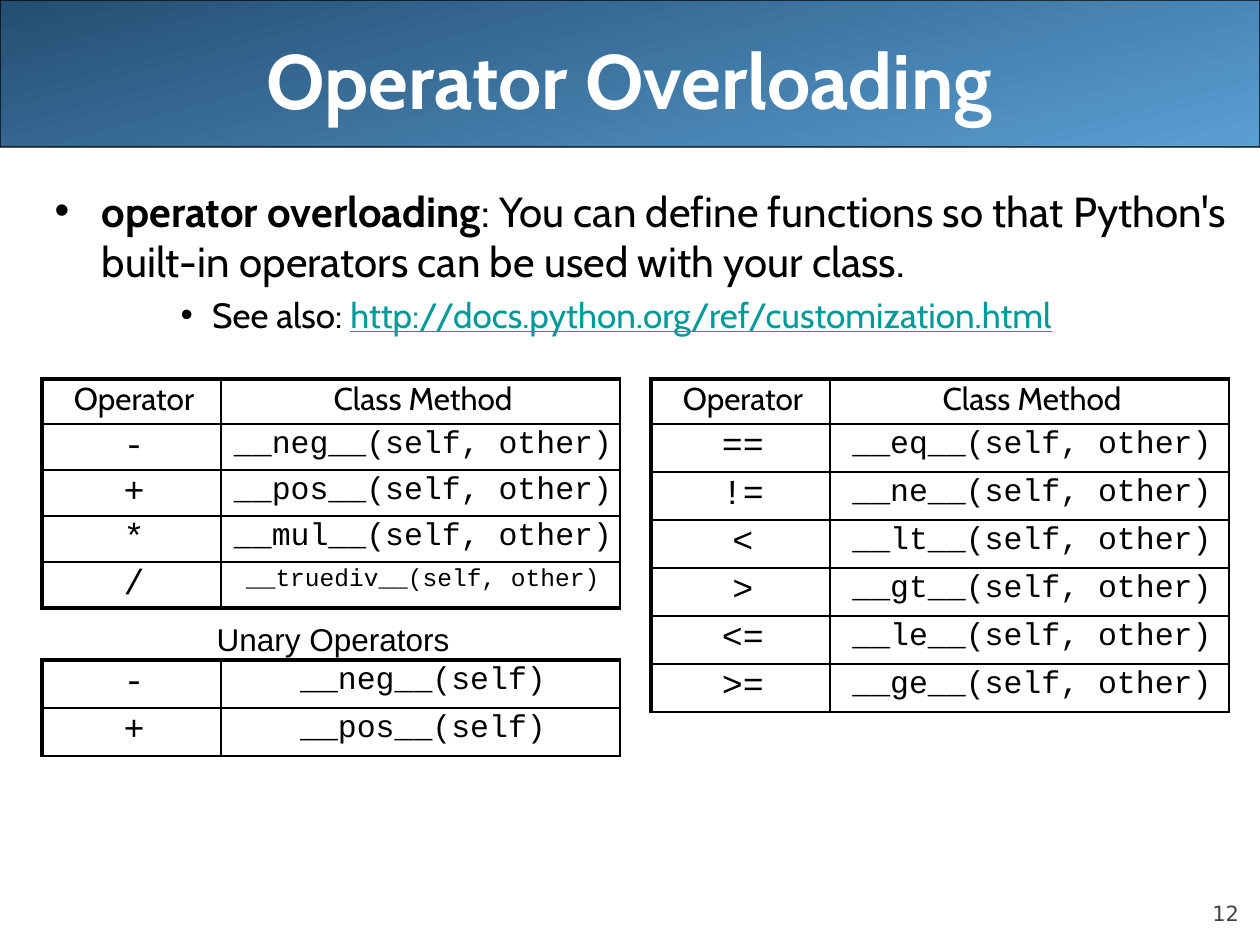
from lxml.etree import SubElement
from pptx import Presentation
from pptx.dml.color import RGBColor
from pptx.enum.shapes import MSO_SHAPE as Shape
from pptx.enum.text import MSO_ANCHOR as Anchor, MSO_AUTO_SIZE as AutoSize, PP_ALIGN as Align
from pptx.oxml.ns import qn
from pptx.util import Emu, Pt

SCALE = 914400 / 126
BLACK, WHITE = "000000", "FFFFFF"
THIN, THICK = 1, 2.25
COLUMNS = (179, 399)
HEADER = ("Operator", "Class Method")
BINARY = [("-", "__neg__(self, other)"), ("+", "__pos__(self, other)"),
          ("*", "__mul__(self, other)"), ("/", "__truediv__(self, other)")]
UNARY = [("-", "__neg__(self)"), ("+", "__pos__(self)")]
COMPARISON = [(symbol, f"__{name}__(self, other)") for symbol, name in
              zip(("==", "!=", "<", ">", "<=", ">="), ("eq", "ne", "lt", "gt", "le", "ge"))]


def px(length):
    return Emu(round(length * SCALE))


def color(value):
    return RGBColor.from_string(value)


def set_all(target, **values):
    for name, value in values.items():
        setattr(target, name, value)


def place(shape, box):
    set_all(shape, **dict(zip(("left", "top", "width", "height"), map(px, box))))


def add_span(para, text, size, font="Cabin", shade=BLACK, **format_values):
    span = para.add_run()
    span.text = text
    set_all(span.font, size=Pt(size), name=font, **format_values)
    span.font.color.rgb = color(shade)


def add_banner(page, box):
    banner = page.shapes.add_shape(Shape.ROUNDED_RECTANGLE, *map(px, box))
    banner.adjustments[0] = 0.001
    banner.shadow.inherit = False
    banner.fill.gradient()
    banner.fill.gradient_angle = 285
    for stop, shade in zip(banner.fill.gradient_stops, ("244E72", "5A9FD4")):
        stop.color.rgb = color(shade)
    banner.line.color.rgb = color(BLACK)
    banner.line.width = Pt(0.75)
    page.shapes._spTree.insert(2, banner._element)


def fill_title(page, box):
    title = page.shapes.title
    place(title, box)
    title.text_frame.vertical_anchor = Anchor.MIDDLE
    para = title.text_frame.paragraphs[0]
    para.alignment = Align.CENTER
    add_span(para, "Operator Overloading", 44, shade=WHITE, bold=True)


def fill_body(page, box):
    body = page.placeholders[1]
    place(body, box)
    para = body.text_frame.paragraphs[0]
    add_span(para, "operator overloading", 24, bold=True)
    add_span(para, ": You can define functions so that Python's built-in operators "
                   "can be used with your class.", 24)
    para = body.text_frame.add_paragraph()
    para.level = 2
    add_span(para, "See also: ", 20)
    add_span(para, "http://docs.python.org/ref/customization.html", 20,
             shade="009999", underline=True)


def add_label(page, box, text, size, font, shade=BLACK, **frame_values):
    label = page.shapes.add_textbox(*map(px, box))
    set_all(label.text_frame, **frame_values)
    para = label.text_frame.paragraphs[0]
    para.alignment = Align.RIGHT
    add_span(para, text, size, font, shade)


def add_borders(cell, **widths):
    properties = cell._tc.get_or_add_tcPr()
    for side, width in widths.items():
        line = SubElement(properties, qn(f"a:ln{side}"), w=str(Pt(width)))
        fill = SubElement(line, qn("a:solidFill"))
        SubElement(fill, qn("a:srgbClr"), val=BLACK)


def fill_cell(cell, text, size, font):
    set_all(cell, **{f"margin_{side}": px(7) for side in ("left", "top", "right", "bottom")})
    cell.fill.background()
    para = cell.text_frame.paragraphs[0]
    set_all(para, alignment=Align.CENTER, line_spacing=0.8)
    para._p.get_or_add_pPr().set("marL", str(px(5)))
    add_span(para, text, size, font)


def add_operators(page, left, top, rows, heights, bottom=THIN):
    frame = page.shapes.add_table(len(rows), len(COLUMNS), px(left), px(top),
                                  px(sum(COLUMNS)), px(sum(heights)))
    table = frame.table
    set_all(table, first_row=False, horz_banding=False)
    for column, width in zip(table.columns, COLUMNS):
        column.width = px(width)
    for r, (row, height) in enumerate(zip(rows, heights)):
        table.rows[r].height = px(height)
        for c, text in enumerate(row):
            cell = table.cell(r, c)
            add_borders(cell, L=THIN if c else THICK, R=THIN, T=THIN if r else THICK,
                        B=bottom if r == len(rows) - 1 else THIN)
            if row == HEADER:
                size, font = 18, "Cabin"
            else:
                size, font = 20 if c == 0 else 14 if "truediv" in text else 18, "Courier New"
            fill_cell(cell, text, size, font)


def main():
    deck = Presentation()
    set_all(deck, slide_width=px(1260), slide_height=px(945))
    page = deck.slides.add_slide(deck.slide_layouts[1])
    add_banner(page, (0, 0, 1260, 147))
    fill_title(page, (63, 0, 1134, 158))
    fill_body(page, (42, 179, 1197, 683))
    add_operators(page, 42, 379, [HEADER, *BINARY], [45] + [46] * 4, THICK)
    add_label(page, (204, 614, 258, 50), "Unary Operators", 18, "Arial",
              word_wrap=False, auto_size=AutoSize.SHAPE_TO_FIT_TEXT)
    add_operators(page, 42, 660, UNARY, [48] * 2)
    add_operators(page, 651, 379, [HEADER, *COMPARISON], [45] + [48] * 6)
    add_label(page, (1134, 876, 105, 50), "12", 12, "DejaVu Sans", "424242",
              word_wrap=True, vertical_anchor=Anchor.BOTTOM, margin_left=0,
              margin_top=0, margin_right=0, margin_bottom=0)
    deck.save("out.pptx")


if __name__ == "__main__":
    main()
